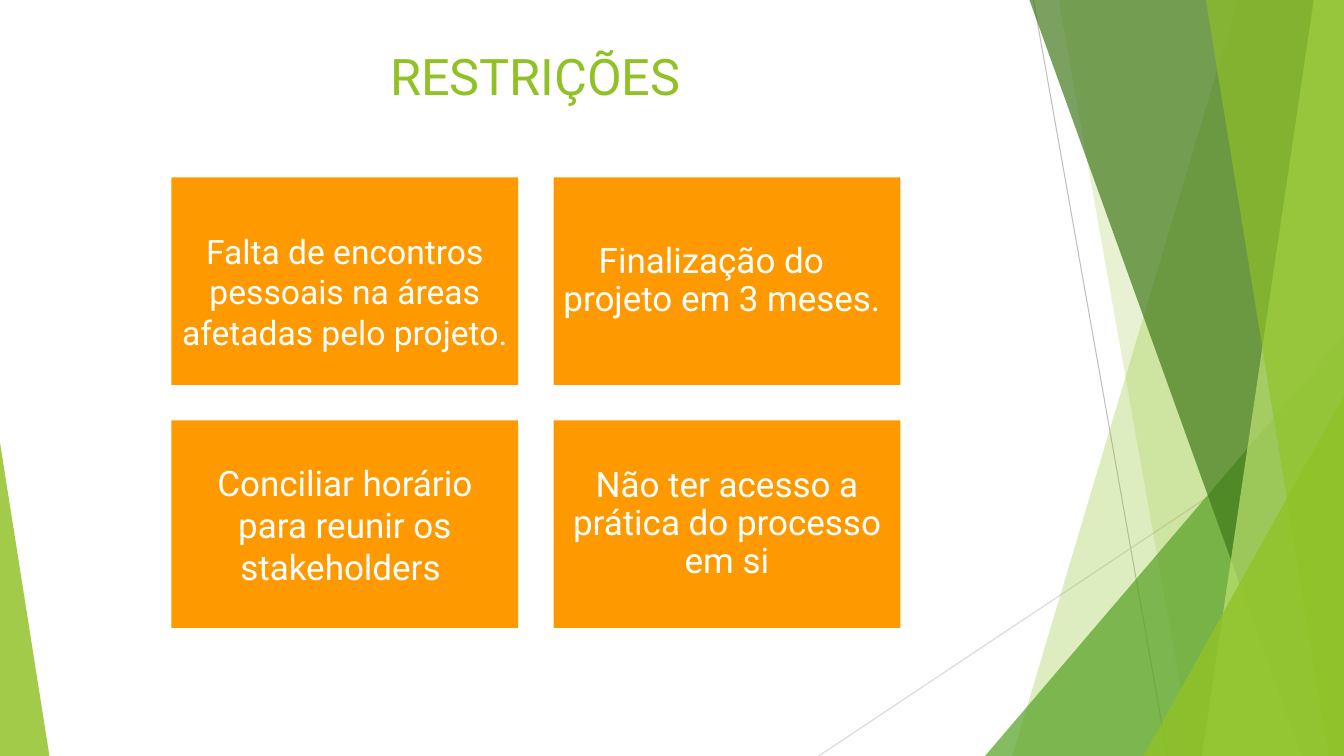
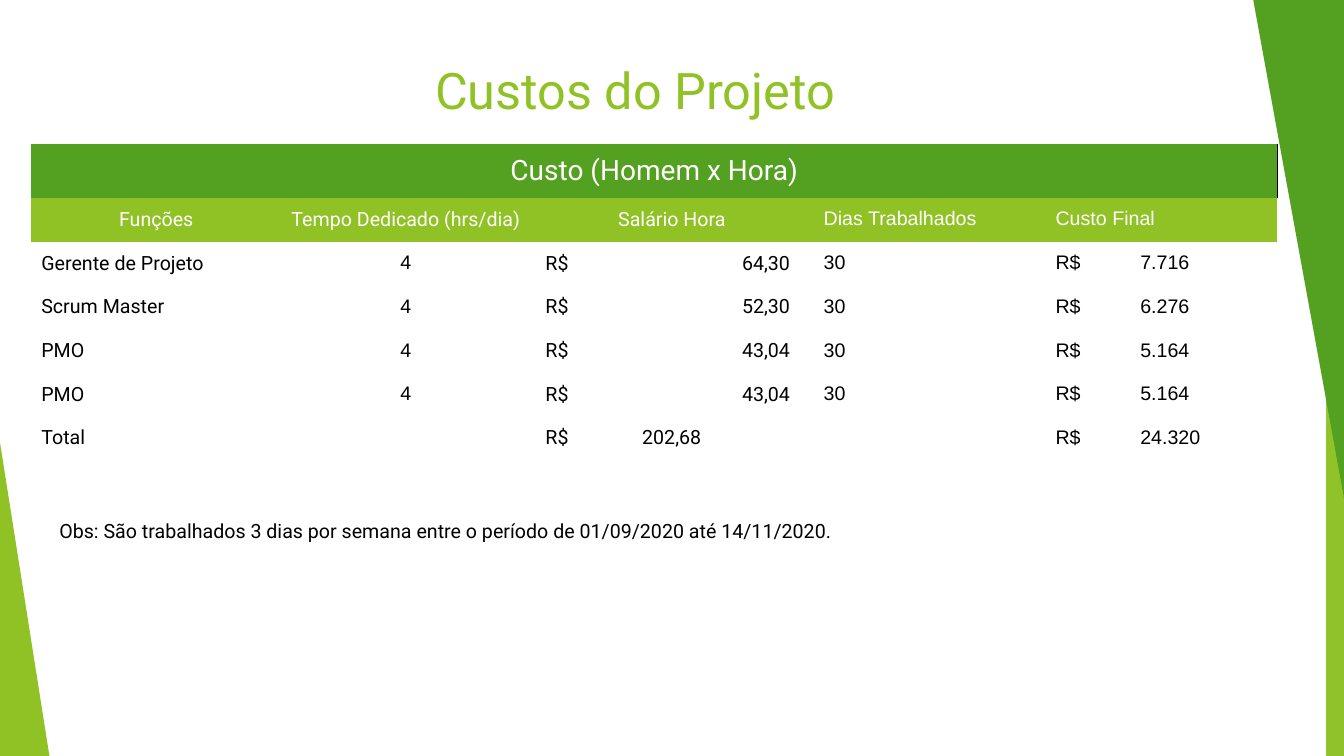
from lxml import etree
from pptx import Presentation
from pptx.dml.color import RGBColor
from pptx.enum.shapes import MSO_CONNECTOR, MSO_SHAPE
from pptx.enum.text import MSO_ANCHOR, PP_ALIGN
from pptx.oxml.ns import qn
from pptx.util import Inches, Pt

LEFT, CENTER = PP_ALIGN.LEFT, PP_ALIGN.CENTER
TOP, MIDDLE = MSO_ANCHOR.TOP, MSO_ANCHOR.MIDDLE
RECTANGLE, TRIANGLE = MSO_SHAPE.RECTANGLE, MSO_SHAPE.ISOSCELES_TRIANGLE
STRAIGHT = MSO_CONNECTOR.STRAIGHT

LIME = RGBColor(0x90, 0xC2, 0x26)
GREEN = RGBColor(0x54, 0xA0, 0x21)
FOREST = RGBColor(0x3F, 0x78, 0x18)
PALE_LIME = RGBColor(0xBF, 0xE4, 0x71)
ORANGE = RGBColor(0xFF, 0x99, 0x00)
WHITE = RGBColor(0xFF, 0xFF, 0xFF)
BLACK = RGBColor(0x00, 0x00, 0x00)
GRAY = RGBColor(0xBF, 0xBF, 0xBF)
LIGHT_GRAY = RGBColor(0xD8, 0xD8, 0xD8)

ROBOTO, ARIAL = "Roboto", "Arial"
WIDTH, HEIGHT = 13.33, 7.5
PLAIN_TABLE = "{2D5ABB26-0587-4C30-8999-92F81FD0307C}"

RAYS = [((10.25, 0), (11.58, HEIGHT), GRAY), ((WIDTH, 4.03), (8.12, HEIGHT), LIGHT_GRAY)]
BACK_FACETS = [(12.28, 10.04, LIME, 29), (10.5, 11.83, LIME, 20)]
FRONT_FACETS = [(10.21, 12.91, FOREST, 69), (13.03, 11.92, PALE_LIME, 69),
                (11.96, 13.18, LIME, 64)]

RESTRICTIONS = [
    ("Falta de encontros pessoais na áreas afetadas pelo projeto.",
     {"size": 24}, 0.3),
    ("Finalização do projeto em 3 meses.",
     {"align": LEFT, "spacing": 0.9, "indent": 0.35}, 0.1),
    ("Conciliar horário para reunir os stakeholders ", {}, 0.1),
    ("Não ter acesso a prática do processo em si", {"spacing": 0.9}, 0.1),
]

COST_HEADINGS = ["Funções", "Tempo Dedicado (hrs/dia)", "Salário Hora",
                 "Dias Trabalhados", "Custo Final"]
COSTS = [
    ["Gerente de Projeto", "4", "R$\t64,30", "30", "R$\t7.716"],
    ["Scrum Master", "4", "R$\t52,30", "30", "R$\t6.276"],
    ["PMO", "4", "R$\t43,04", "30", "R$\t5.164"],
    ["PMO", "4", "R$\t43,04", "30", "R$\t5.164"],
    ["Total", "", "R$\t202,68", "", "R$\t24.320"],
]
COLUMN_WIDTHS = [2.48, 2.47, 2.81, 2.3, 2.3]
HEADING_FONTS = [ROBOTO, ROBOTO, ROBOTO, ARIAL, ARIAL]
HEADING_ALIGNS = [CENTER, CENTER, CENTER, LEFT, LEFT]
BODY_FONTS = [ROBOTO, ARIAL, ROBOTO, ARIAL, ARIAL]
BODY_ALIGNS = [LEFT, CENTER, LEFT, LEFT, LEFT]
SALARY, FINAL_COST = 2, 4
SALARY_TAB, TOTAL_SALARY_TAB, FINAL_COST_TAB = 1.95, 0.96, 0.84


def write(frame, text, size=14, color=BLACK, font=ROBOTO, align=LEFT,
          spacing=None, indent=0, tab=None):
    """Write one formatted paragraph into a text frame."""
    paragraph = frame.paragraphs[0]
    properties = paragraph._p.get_or_add_pPr()
    if tab:
        stops = etree.SubElement(properties, qn("a:tabLst"))
        etree.SubElement(stops, qn("a:tab"), pos=str(Inches(tab)), algn="l")
    if indent:
        properties.set("indent", str(Inches(indent)))
    paragraph.alignment = align
    if spacing:
        paragraph.line_spacing = spacing
    run = paragraph.add_run()
    run.text = text
    run.font.size = Pt(size)
    run.font.name = font
    run.font.color.rgb = color


def set_margins(holder, top=0.1, left=0.1, other=0.1):
    """Set the inner margins of a cell or text frame."""
    holder.margin_top, holder.margin_left = Inches(top), Inches(left)
    holder.margin_right = holder.margin_bottom = Inches(other)


def add_text(slide, text, box, margin_top=0.1, **style):
    """Add a wrapping text box."""
    frame = slide.shapes.add_textbox(*map(Inches, box)).text_frame
    frame.word_wrap = True
    frame.vertical_anchor = TOP
    set_margins(frame, top=margin_top)
    write(frame, text, **style)


def add_title(slide, text, box, margin_top=0.1):
    """Add the slide title in the shared style."""
    add_text(slide, text, box, margin_top, size=36, color=LIME, align=CENTER)


def paint(shape, color, opacity=100):
    """Fill a shape flat, with optional transparency."""
    shape.shadow.inherit = False
    shape.line.fill.background()
    shape.fill.solid()
    shape.fill.fore_color.rgb = color
    if opacity < 100:
        for tint in shape._element.spPr.iter(qn("a:srgbClr")):
            etree.SubElement(tint, qn("a:alpha"), val=str(opacity * 1000))


def add_preset(slide, kind, box, color, opacity=100):
    """Add a flat preset shape."""
    shape = slide.shapes.add_shape(kind, *map(Inches, box))
    paint(shape, color, opacity)
    return shape


def add_triangle(slide, box, apex, color, opacity=100):
    """Add a right triangle whose apex sits at the given fraction of its width."""
    triangle = add_preset(slide, TRIANGLE, box, color, opacity)
    triangle.adjustments[0] = apex
    return triangle


def add_left_wedge(slide, opacity=100):
    """Add the wedge in the lower left corner."""
    add_triangle(slide, (0, 4.39, 0.49, 3.11), 0, LIME, opacity)


def add_facets(slide, facets):
    """Add panes that reach from a slanted edge to the right side."""
    for top_x, bottom_x, color, opacity in facets:
        builder = slide.shapes.build_freeform(Inches(top_x), 0)
        corners = [(WIDTH, 0), (WIDTH, HEIGHT), (bottom_x, HEIGHT)]
        builder.add_line_segments([(Inches(x), Inches(y)) for x, y in corners])
        paint(builder.convert_to_shape(), color, opacity)


def add_backdrop(slide):
    """Draw the rays, panes and wedges and move them to the slide master."""
    for start, end, color in RAYS:
        ray = slide.shapes.add_connector(STRAIGHT, *map(Inches, start + end))
        ray.line.color.rgb = color
        ray.line.width = Pt(0.75)
        etree.SubElement(ray._element.spPr, qn("a:effectLst"))
    add_facets(slide, BACK_FACETS)
    add_triangle(slide, (9.77, 3.33, 3.56, 4.17), 1, GREEN, 71)
    add_facets(slide, FRONT_FACETS)
    add_triangle(slide, (11.34, 3.93, 1.99, 3.57), 1, LIME, 80)
    add_left_wedge(slide, 84)
    master = slide.slide_layout.slide_master
    for part in list(slide.shapes):
        part._element.set("id", "0")
        master.shapes._spTree.append(part._element)
    for number, part in enumerate(master.shapes, start=2):
        part._element.xpath(".//p:cNvPr")[0].set("id", str(number))


def add_cards(slide, left, top, width, height, gap):
    """Add the restrictions as a grid of two columns."""
    for index, (text, style, margin_top) in enumerate(RESTRICTIONS):
        row, column = divmod(index, 2)
        box = (left + column * (width + gap), top + row * (height + gap), width, height)
        frame = add_preset(slide, RECTANGLE, box, ORANGE).text_frame
        frame.word_wrap = True
        frame.vertical_anchor = MIDDLE
        set_margins(frame, top=margin_top)
        write(frame, text, **({"size": 25, "color": WHITE, "align": CENTER} | style))


def fill_cell(cell, text, fill=None, margin_left=0.1, **style):
    """Fill one table cell and write its text."""
    if fill is None:
        cell.fill.background()
    else:
        cell.fill.solid()
        cell.fill.fore_color.rgb = fill
    if text:
        set_margins(cell, left=margin_left)
        write(cell.text_frame, text, **style)
    else:
        set_margins(cell, 0, 0, 0)


def add_right_border(cell, color):
    """Draw a thin line on the right side of a cell."""
    border = etree.Element(qn("a:lnR"), w=str(Pt(0.75)))
    solid = etree.SubElement(border, qn("a:solidFill"))
    etree.SubElement(solid, qn("a:srgbClr"), val=str(color))
    cell._tc.get_or_add_tcPr().insert(0, border)


def add_cost_table(slide, left, top, heading_height, row_height):
    """Add the cost table with its merged heading."""
    row_count = len(COSTS) + 2
    box = (left, top, sum(COLUMN_WIDTHS), heading_height + (row_count - 1) * row_height)
    table = slide.shapes.add_table(row_count, len(COLUMN_WIDTHS), *map(Inches, box)).table
    table._tbl.tblPr.find(qn("a:tableStyleId")).text = PLAIN_TABLE
    table.first_row = table.horz_banding = False
    for column, width in zip(table.columns, COLUMN_WIDTHS):
        column.width = Inches(width)
    for index, row in enumerate(table.rows):
        row.height = Inches(row_height if index else heading_height)

    heading = table.cell(0, 0)
    heading.merge(table.cell(0, len(COLUMN_WIDTHS) - 1))
    fill_cell(heading, "Custo (Homem x Hora)", GREEN, size=20, color=WHITE, align=CENTER)
    add_right_border(heading, BLACK)

    for column, text in enumerate(COST_HEADINGS):
        fill_cell(table.cell(1, column), text, LIME, color=WHITE,
                  font=HEADING_FONTS[column], align=HEADING_ALIGNS[column])
    for row, values in enumerate(COSTS, start=2):
        salary_tab = TOTAL_SALARY_TAB if row == row_count - 1 else SALARY_TAB
        tabs = {SALARY: salary_tab, FINAL_COST: FINAL_COST_TAB}
        for column, text in enumerate(values):
            fill_cell(table.cell(row, column), text,
                      margin_left=0.15 if column == SALARY else 0.1,
                      font=BODY_FONTS[column], align=BODY_ALIGNS[column],
                      tab=tabs.get(column))


def build_restrictions(slide):
    """Build the slide of project restrictions."""
    add_title(slide, "RESTRIÇÕES", (0.61, 0.4, 9.4, 1.44), margin_top=0.05)
    add_cards(slide, left=1.7, top=1.76, width=3.44, height=2.06, gap=0.35)


def build_costs(slide):
    """Build the slide of project costs."""
    add_preset(slide, RECTANGLE, (0, 0, 13.15, HEIGHT), WHITE)
    add_left_wedge(slide)
    add_triangle(slide, (12.43, 0, 0.92, 5.05), 0, GREEN).rotation = 180
    add_title(slide, "Custos do Projeto", (2.5, 0.49, 7.6, 0.94))
    add_cost_table(slide, left=0.31, top=1.43, heading_height=0.52, row_height=0.43)
    add_text(slide, "Obs: São trabalhados 3 dias por semana entre o período de "
             "01/09/2020 até 14/11/2020.", (0.49, 5.05, 10.34, 0.94))


def main():
    """Build and save the presentation."""
    presentation = Presentation()
    presentation.slide_width = Inches(WIDTH)
    presentation.slide_height = Inches(HEIGHT)
    blank = presentation.slide_layouts[6]
    restrictions, costs = (presentation.slides.add_slide(blank) for _ in range(2))
    add_backdrop(restrictions)
    build_restrictions(restrictions)
    build_costs(costs)
    presentation.save("out.pptx")


if __name__ == "__main__":
    main()
